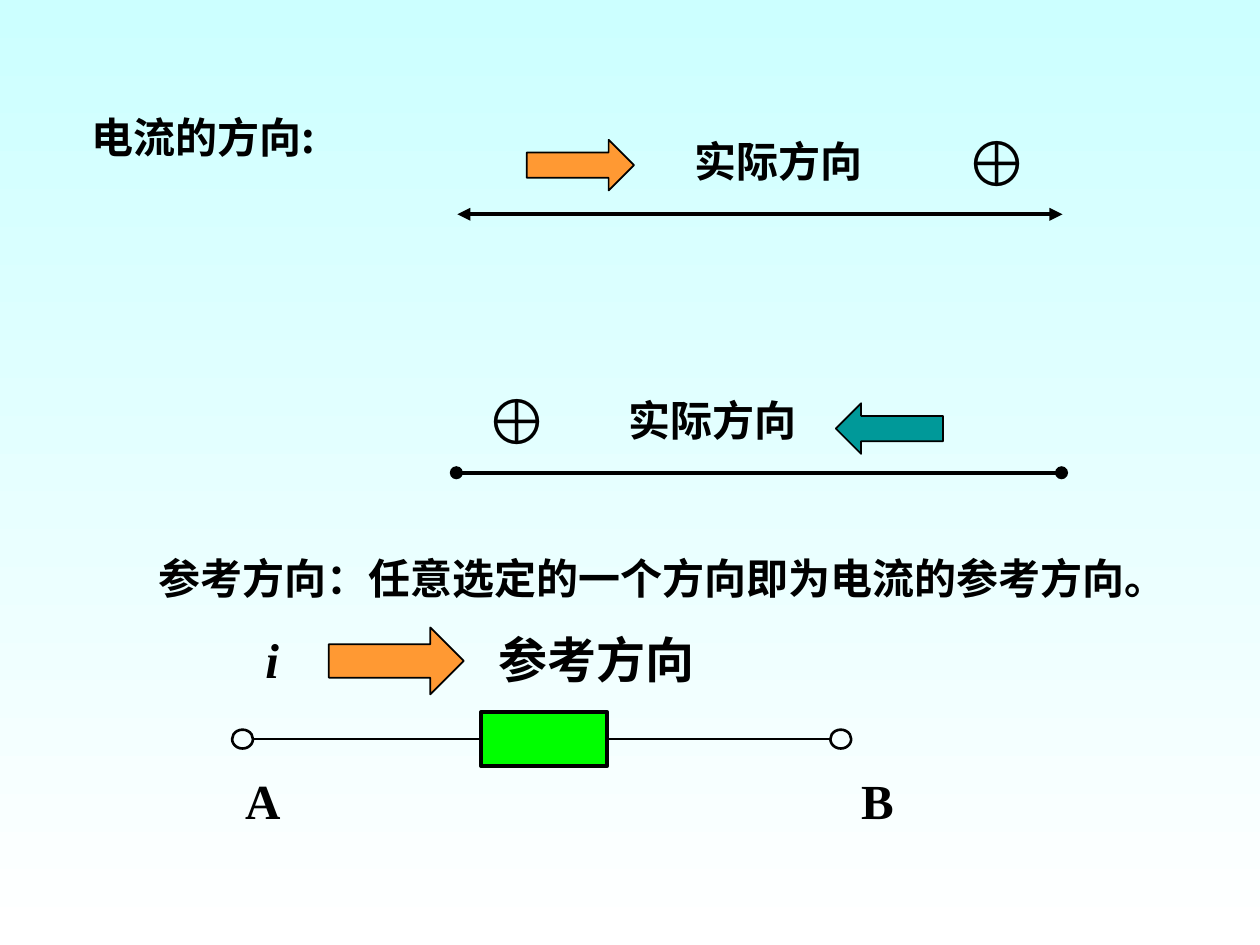
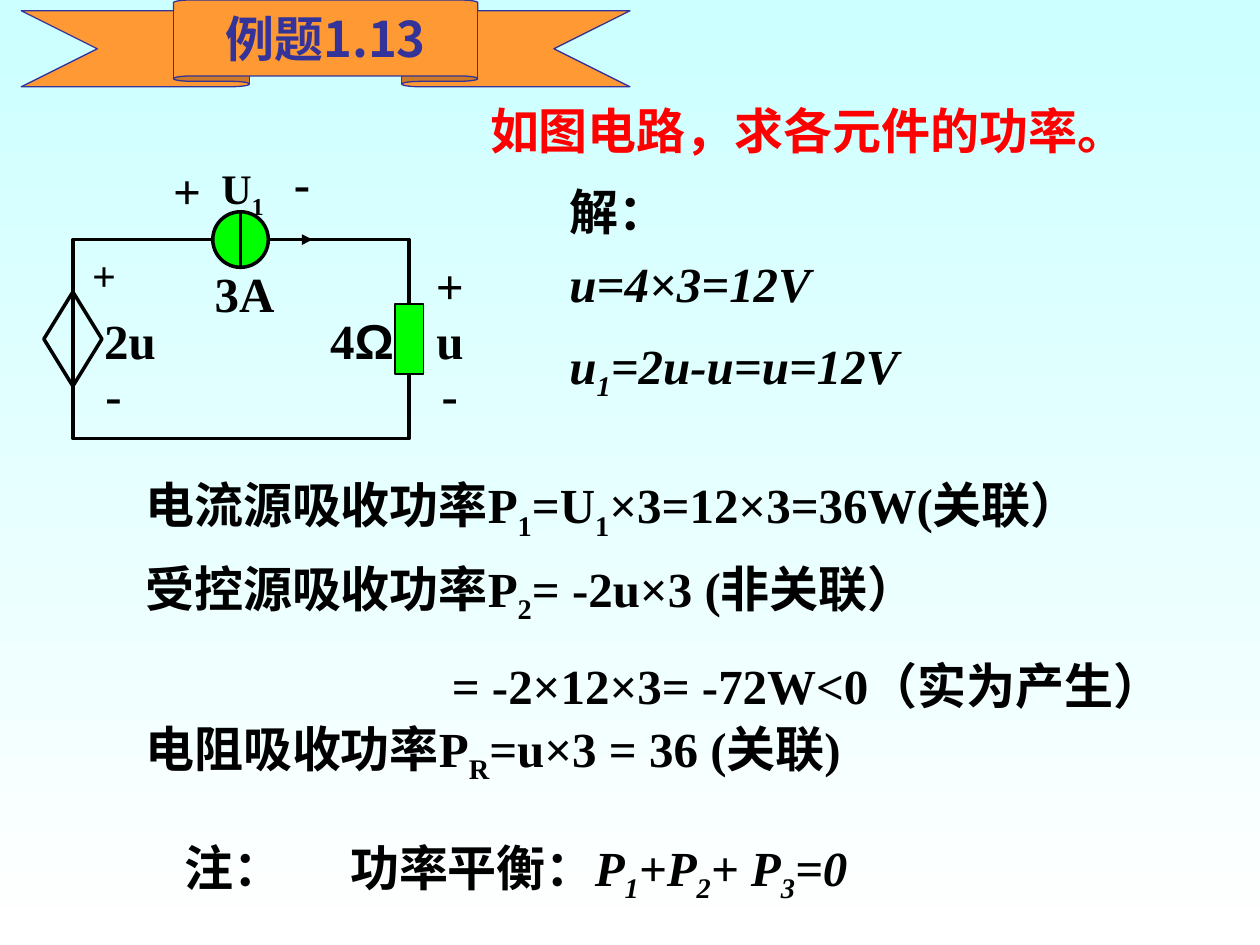
from dataclasses import dataclass

from lxml.etree import SubElement
from pptx import Presentation
from pptx.dml.color import RGBColor as RGB
from pptx.enum.shapes import MSO_CONNECTOR, MSO_SHAPE as SHAPE
from pptx.enum.text import MSO_ANCHOR as ANCHOR, PP_ALIGN as ALIGN
from pptx.oxml.ns import qn
from pptx.util import Cm, Pt


@dataclass(frozen=True)
class Theme:
    sky: RGB = RGB(0xCC, 0xFF, 0xFF)
    white: RGB = RGB(0xFF, 0xFF, 0xFF)
    black: RGB = RGB(0, 0, 0)
    red: RGB = RGB(0xFF, 0, 0)
    green: RGB = RGB(0, 0xFF, 0)
    orange: RGB = RGB(0xFF, 0x99, 0x33)
    teal: RGB = RGB(0, 0x99, 0x99)
    navy: RGB = RGB(0x33, 0x33, 0x99)
    serif: str = "Times New Roman"
    sans: str = "Arial"
    cjk: str = "Noto Sans CJK SC"
    small: int = 24
    body: int = 28
    symbol: int = 36
    thin: float = 1
    wire: float = 1.5
    circuit: float = 2
    heavy: float = 2.5


T = Theme()


def add_runs(p, text, **font):
    """Add text to p; the character after each underscore is a subscript."""
    first, *rest = text.split("_")
    pieces = [(first, False)]
    for piece in rest:
        pieces += [(piece[0], True), (piece[1:], False)]
    for piece, subscript in pieces:
        if piece:
            r = p.add_run()
            r.text = piece
            for name, value in font.items():
                setattr(r.font, name, value)
            if subscript:
                r.font._element.set("baseline", "-25000")


def style(p, size, color=T.black, name=T.serif, bold=True, italic=None):
    f = p.font
    f.size, f.bold, f.italic, f.name = Pt(size), bold, italic, name
    f.color.rgb = color
    SubElement(f._element, qn("a:ea")).set("typeface", T.cjk)


def add_text(s, x, y, w, h, text, size=T.body, align=ALIGN.LEFT,
             anchor=ANCHOR.TOP, wrap=True, **font):
    tf = s.shapes.add_textbox(Cm(x), Cm(y), Cm(w), Cm(h)).text_frame
    tf.word_wrap, tf.vertical_anchor = wrap, anchor
    p = tf.paragraphs[0]
    p.alignment = align
    add_runs(p, text)
    style(p, size, **font)
    return tf


def add_label(s, cx, cy, text, size=T.body, **font):
    """Add one line of text centred on a point."""
    w, h = 5, 1.4
    return add_text(s, cx - w / 2, cy - h / 2, w, h, text, size,
                    ALIGN.CENTER, ANCHOR.MIDDLE, False, **font)


def add_shape(s, kind, x, y, w, h, fill=None, line=T.black, width=T.thin):
    sp = s.shapes.add_shape(kind, Cm(x), Cm(y), Cm(w), Cm(h))
    sp.shadow.inherit = False
    if fill is None:
        sp.fill.background()
    else:
        sp.fill.solid()
        sp.fill.fore_color.rgb = fill
    sp.line.color.rgb, sp.line.width = line, Pt(width)
    return sp


def add_centred(s, kind, cx, cy, w, h, **look):
    return add_shape(s, kind, cx - w / 2, cy - h / 2, w, h, **look)


def add_line(s, x1, y1, x2, y2, width, head=None, tail=None):
    c = s.shapes.add_connector(MSO_CONNECTOR.STRAIGHT,
                               Cm(x1), Cm(y1), Cm(x2), Cm(y2))
    c.line.color.rgb, c.line.width = T.black, Pt(width)
    SubElement(c._element.spPr, qn("a:effectLst"))
    ln = c.line._get_or_add_ln()
    for tag, end in (("a:headEnd", head), ("a:tailEnd", tail)):
        if end:
            SubElement(ln, qn(tag)).set("type", end)
    return c


def direction_panel(s, x, y, arrow, fill, ends, arrow_at, label_x, plus_x):
    """Draw a line with the actual direction marked above it."""
    arrow_x, arrow_y = arrow_at
    base = y + 1.8
    add_line(s, x, base, x + 12.2, base, T.heavy, ends, ends)
    add_shape(s, arrow, x + arrow_x, y + arrow_y, 2.16, 1.02, fill)
    add_label(s, x + label_x, y + 0.73, "实际方向", T.small)
    add_label(s, x + plus_x, y + 0.73, "⊕", T.symbol, name=T.sans, bold=False)


def reference_circuit(s, x, y):
    wire_y, radius = y + 2.35, 0.21
    add_label(s, x + 0.82, y + 0.73, "i", italic=True)
    add_shape(s, SHAPE.RIGHT_ARROW, x + 1.96, y + 0.1, 2.72, 1.35, T.orange)
    add_label(s, x + 7.36, y + 0.73, "参考方向")

    element = add_shape(s, SHAPE.RECTANGLE, x + 5.03, wire_y - 0.54, 2.54,
                        1.08, T.green, width=T.heavy)
    for name, terminal_x, edge, side, name_x in (
            ("A", x + 0.22, radius, 1, x + 0.63),
            ("B", x + 12.28, -radius, 3, x + 13.02)):
        add_centred(s, SHAPE.OVAL, terminal_x, wire_y, 2 * radius, 0.38,
                    width=T.wire)
        wire = add_line(s, terminal_x + edge, wire_y, x + 6.3, wire_y, T.wire)
        wire.end_connect(element, side)
        add_label(s, name_x, y + 3.57, name)


def current_direction_slide(s):
    add_text(s, 1.6, 2.13, 8, 1.27, "电流的方向:", T.small, name=T.cjk)
    direction_panel(s, 9.22, 2.52, SHAPE.RIGHT_ARROW, T.orange, "triangle",
                    arrow_at=(1.4, 0.3), label_x=6.48, plus_x=10.88)
    direction_panel(s, 9.2, 7.73, SHAPE.LEFT_ARROW, T.teal, "oval",
                    arrow_at=(7.65, 0.4), label_x=5.16, plus_x=1.22)
    add_text(s, 2.95, 11.02, 20.83, 1.27,
             "参考方向：任意选定的一个方向即为电流的参考方向。", T.small,
             ALIGN.CENTER, ANCHOR.MIDDLE, False)
    reference_circuit(s, 4.67, 12.55)


def title_ribbon(s, x, y, text):
    sp = add_shape(s, SHAPE.UP_RIBBON, x, y, 12.27, 1.75, T.orange, T.navy,
                   0.75)
    sp.adjustments[0], sp.adjustments[1] = 0.125, 0.5
    tf = sp.text_frame
    tf.word_wrap, tf.vertical_anchor = False, ANCHOR.MIDDLE
    p = tf.paragraphs[0]
    p.alignment = ALIGN.CENTER
    add_runs(p, text)
    style(p, T.body, T.navy, T.cjk)


def example_circuit(s, x, y):
    w, h = 6.78, 4.01
    middle, source_x = y + h / 2, x + 3.38
    add_shape(s, SHAPE.RECTANGLE, x, y, w, h, width=T.circuit)

    add_centred(s, SHAPE.OVAL, source_x, y, 1.12, 1.12, fill=T.green,
                width=T.circuit)
    add_line(s, source_x, y - 0.56, source_x, y + 0.56, T.circuit)
    add_line(s, source_x + 0.56, y, x + 4.83, y, T.circuit, tail="triangle")

    add_centred(s, SHAPE.RECTANGLE, x + w, middle, 0.58, 1.42, fill=T.green)
    add_centred(s, SHAPE.DIAMOND, x, middle, 1.17, 1.9, width=T.circuit)
    add_line(s, x, y, x, y + h, T.wire)

    for text, dx, dy, size in (
            ("+", 2.3, -1.01, T.body), ("U_1", 3.42, -0.97, T.small),
            ("-", 4.62, -1.16, T.body), ("3A", 3.46, 1.08, T.body),
            ("+", 0.63, 0.7, T.small), ("2u", 1.15, 2.02, T.body),
            ("-", 0.82, 3.11, T.body), ("+", 7.6, 0.92, T.body),
            ("u", 7.6, 2.02, T.body), ("-", 7.6, 3.11, T.body)):
        add_label(s, x + dx, y + dy, text, size)
    resistance = add_label(s, x + 5.83, y + 2.02, "4")
    add_runs(resistance.paragraphs[0], "Ω", name=T.sans)


def voltage_solution(s, x, y):
    add_text(s, x, y, 2.54, 1.45, "解：")
    add_text(s, x, y + 1.45, 8.94, 1.45, "u=4×3=12V", italic=True)
    add_text(s, x, y + 3.1, 9, 1.6, "u_1=2u-u=u=12V", italic=True)


def power_solution(s, x, y):
    add_text(s, x, y, 21.03, 1.6, "电流源吸收功率P_1=U_1×3=12×3=36W(关联）")
    tf = add_text(s, x, y + 1.68, 22.3, 3.4, "受控源吸收功率P_2= -2u×3 (非关联）")
    p = tf.add_paragraph()
    p.space_before = Pt(17.5)
    p._p.get_or_add_pPr().set("marL", str(Cm(6.18)))
    add_runs(p, "= -2×12×3= -72W<0（实为产生）")
    style(p, T.body)
    add_text(s, x, y + 4.9, 19.86, 1.6, "电阻吸收功率P_R=u×3 = 36 (关联)")


def balance_note(s, x, y):
    tf = s.shapes.add_textbox(Cm(x), Cm(y), Cm(15.62), Cm(1.6)).text_frame
    tf.word_wrap = True
    p = tf.paragraphs[0]
    tabs = SubElement(p._p.get_or_add_pPr(), qn("a:tabLst"))
    tab = SubElement(tabs, qn("a:tab"))
    tab.set("pos", str(Cm(3.33)))
    tab.set("algn", "l")
    add_runs(p, "注：\t功率平衡：")
    add_runs(p, "P_1+P_2+ P_3=0", italic=True)
    style(p, T.body)


def example_slide(s):
    example_circuit(s, 1.47, 4.83)
    voltage_solution(s, 11.23, 3.53)
    power_solution(s, 2.68, 9.45)
    add_text(s, 9.63, 1.9, 15.34, 1.45, "如图电路，求各元件的功率。",
             color=T.red)
    balance_note(s, 3.48, 16.76)
    title_ribbon(s, 0.43, 0, "例题1.13")


def set_background(master):
    fill = master.background.fill
    fill.gradient()
    fill.gradient_angle = 270
    for stop, color in zip(fill.gradient_stops, (T.sky, T.white)):
        stop.color.rgb = color


def main():
    prs = Presentation()
    prs.slide_width, prs.slide_height = Cm(25.4), Cm(19.05)
    set_background(prs.slide_master)
    blank = prs.slide_layouts[6]
    for build in (current_direction_slide, example_slide):
        build(prs.slides.add_slide(blank))
    prs.save("out.pptx")


if __name__ == "__main__":
    main()
